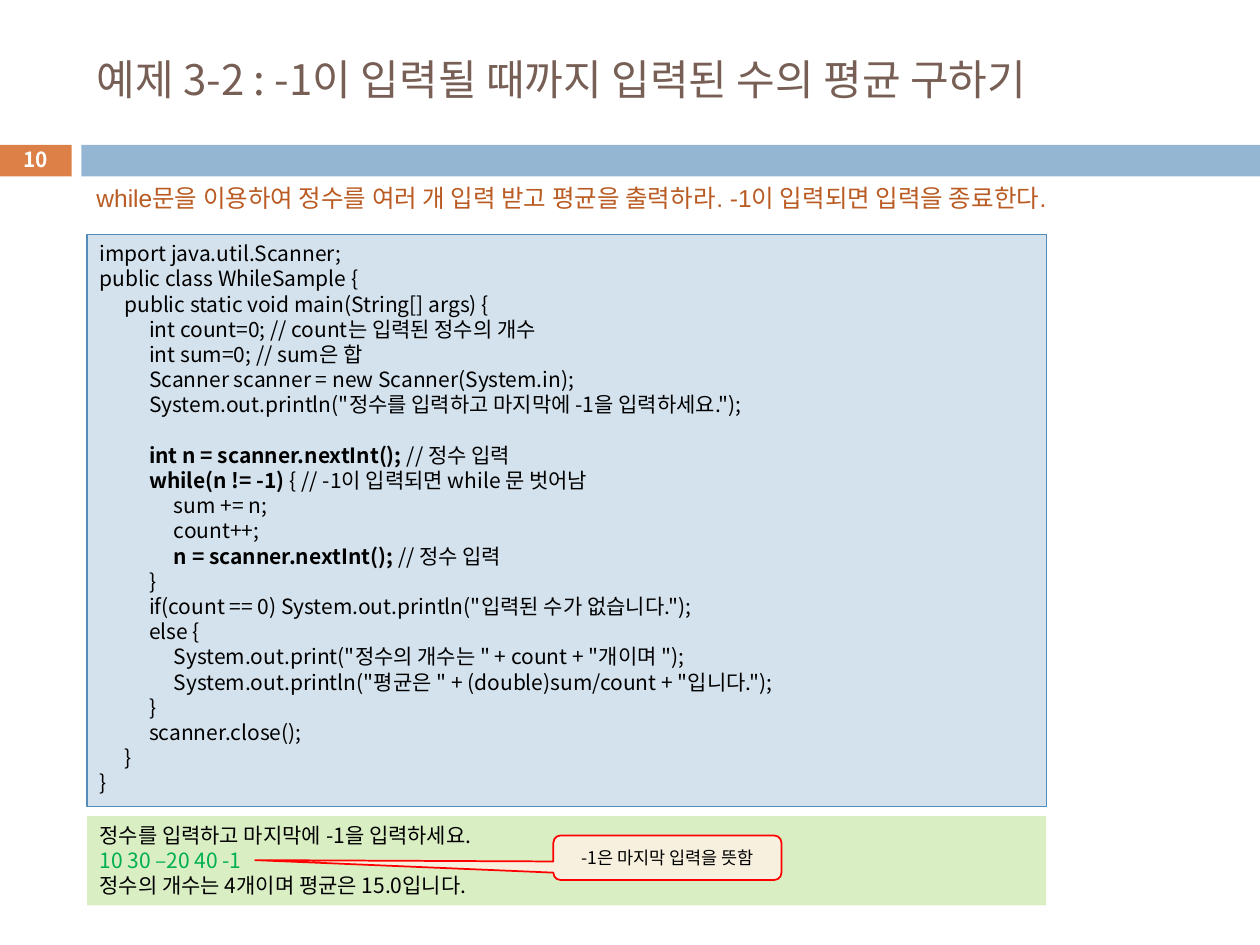
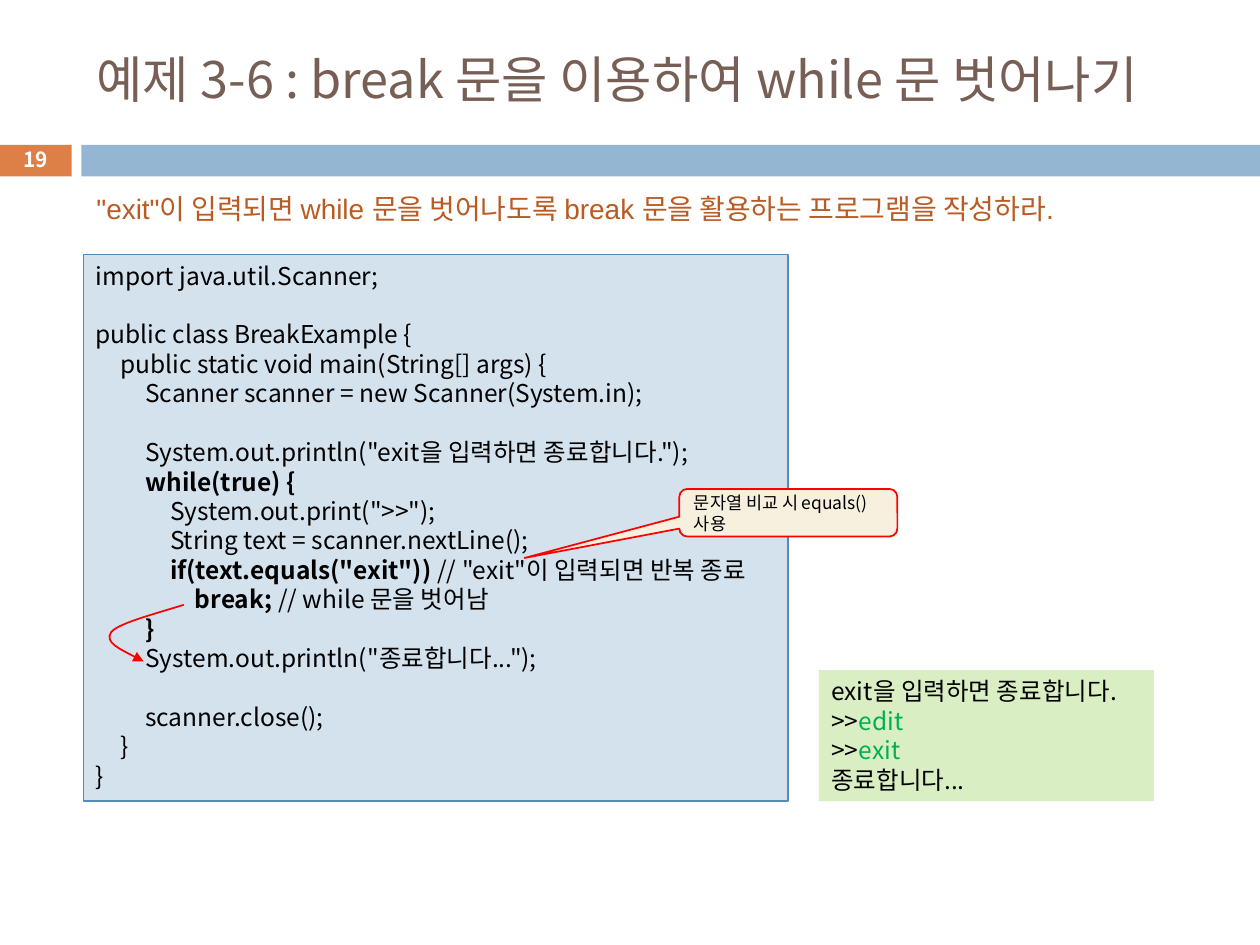
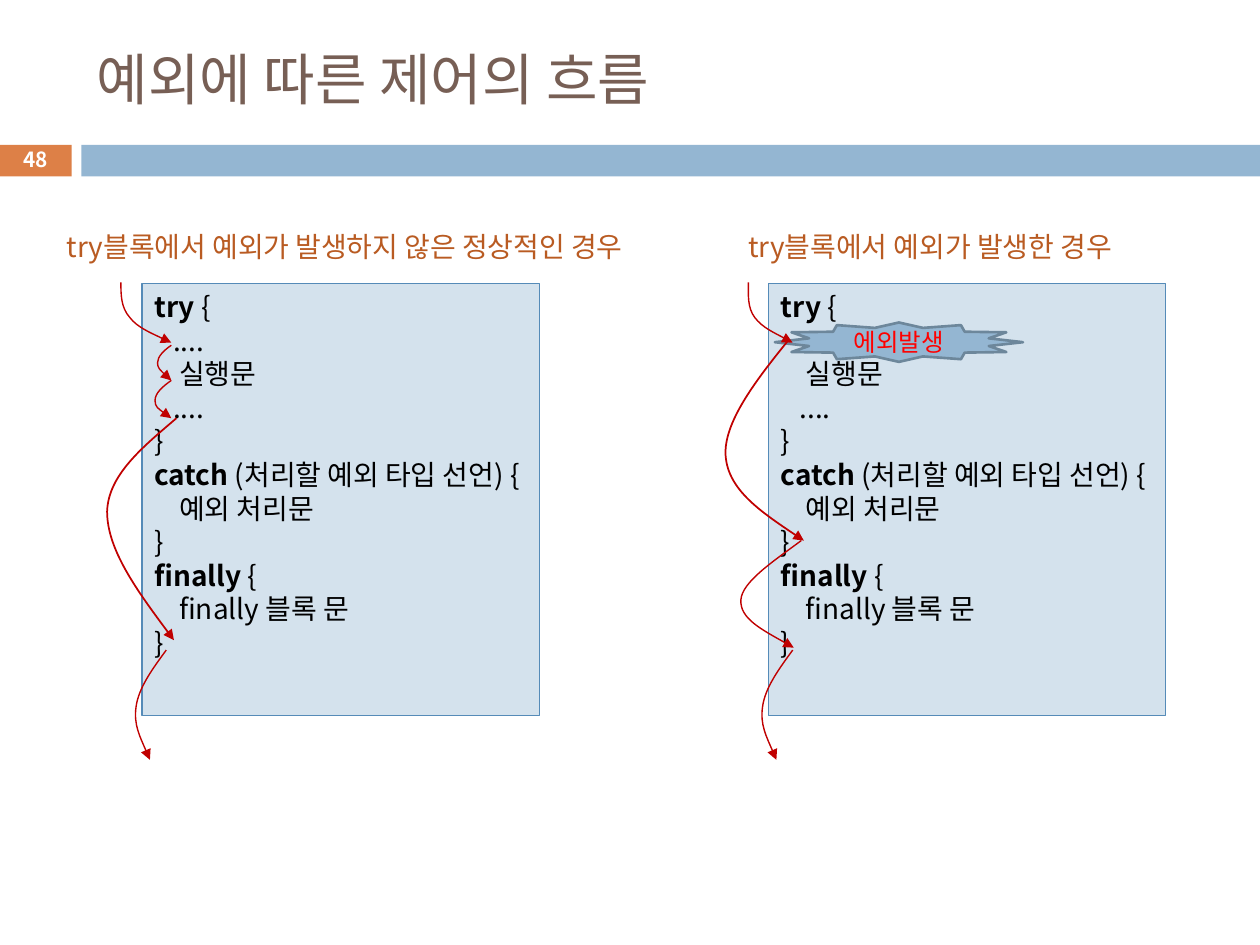
from lxml import etree
from pptx import Presentation
from pptx.dml.color import RGBColor
from pptx.enum.shapes import MSO_SHAPE
from pptx.enum.text import MSO_ANCHOR, MSO_AUTO_SIZE, PP_ALIGN
from pptx.oxml.ns import qn
from pptx.util import Pt

RECT = MSO_SHAPE.RECTANGLE
CALLOUT = MSO_SHAPE.ROUNDED_RECTANGULAR_CALLOUT
STAR = MSO_SHAPE.STAR_12_POINT
LEFT, CENTER = PP_ALIGN.LEFT, PP_ALIGN.CENTER
TOP, MIDDLE = MSO_ANCHOR.TOP, MSO_ANCHOR.MIDDLE
FIXED = MSO_AUTO_SIZE.NONE

SANS, ARIAL = "Noto Sans CJK KR", "Arial"
LEADING = 1.2
TAB = 14.17
SHIFT = 358
COLORS = {
    "title": "775F55", "task": "B95B22", "badge": "DD8047", "band": "94B6D2",
    "code": "D4E2ED", "edge": "558BB8", "output": "DAEEC4", "input": "00B050",
    "note": "F7F0DE", "red": "FF0000", "flow": "C00000", "star": "6D879B",
    "black": "000000", "white": "FFFFFF",
}

AVERAGE = {
    "title": "예제 3-2 : -1이 입력될 때까지 입력된 수의 평균 구하기",
    "size": 24, "page": "10",
    "task": "while문을 이용하여 정수를 여러 개 입력 받고 평균을 출력하라. -1이 입력되면 입력을 종료한다.",
    "code": """import java.util.Scanner;
public class WhileSample {
	public static void main(String[] args) {
		int count=0; // count는 입력된 정수의 개수
		int sum=0; // sum은 합
		Scanner scanner = new Scanner(System.in);
		System.out.println("정수를 입력하고 마지막에 -1을 입력하세요.");

		|int n = scanner.nextInt(); |// 정수 입력
		|while(n != -1) |{ // -1이 입력되면 while 문 벗어남
			sum += n;
			count++;
			|n = scanner.nextInt(); |// 정수 입력
		}
		if(count == 0) System.out.println("입력된 수가 없습니다.");
		else {
			System.out.print("정수의 개수는 " + count + "개이며 ");
			System.out.println("평균은 " + (double)sum/count + "입니다.");
		}
		scanner.close();
	}
}""",
    "output": """정수를 입력하고 마지막에 -1을 입력하세요.
|10 30 –20 40 -1|
정수의 개수는 4개이며 평균은 15.0입니다.""",
    "note": "-1은 마지막 입력을 뜻함",
}
BREAK = {
    "title": "예제 3-6 : break 문을 이용하여 while 문 벗어나기",
    "size": 28.8, "page": "19",
    "task": "\"exit\"이 입력되면 while 문을 벗어나도록 break 문을 활용하는 프로그램을 작성하라.",
    "code": """import java.util.Scanner;

public class BreakExample {
	public static void main(String[] args) {
		Scanner scanner = new Scanner(System.in);

		System.out.println("exit을 입력하면 종료합니다.");
		|while(true) {|
			System.out.print(">>");
			String text = scanner.nextLine();
			|if(text.equals("exit")) |// "exit"이 입력되면 반복 종료
				|break; |// while 문을 벗어남
		|}|
		System.out.println("종료합니다...");

		scanner.close();
	}
}""",
    "output": """exit을 입력하면 종료합니다.
>>|edit|
>>|exit|
종료합니다...""",
    "note": "문자열 비교 시 equals()사용",
    "jump": [(105, 345.6), (86.4, 351.4), (67, 356.4), (63.4, 361.4),
             (59.8, 367.2), (71.3, 372.2), (82.1, 378)],
}
FLOW = {
    "title": "예외에 따른 제어의 흐름", "size": 32, "page": "48",
    "code": """|try |{
   ....
	실행문
   ....
}
|catch |(처리할 예외 타입 선언) {
	예외 처리문
}
|finally |{
	finally 블록 문
}""",
    "cases": [("try블록에서 예외가 발생하지 않은 정상적인 경우", 31, 370),
              ("try블록에서 예외가 발생한 경우", 420.5, 245.5)],
    "burst": "에외발생",
    "leave": [(95, 371.5), (87.1, 382.3), (79.2, 393.1), (77.8, 403.9),
              (76.3, 414), (81.4, 424.1), (85.7, 434.2)],
    "thin": [
        [(69.1, 161.3), (69.1, 168.5), (69.1, 175.7), (74.2, 181.4),
         (78.5, 187.2), (93.6, 193.7), (97.9, 195.8)],
        [(97.9, 197.3), (93.6, 200.2), (90, 203.8), (90, 207.4),
         (90, 210.2), (93.6, 213.8), (97.9, 217.4)],
        [(97.9, 217.4), (92.9, 221), (88.6, 224.6), (88.6, 229),
         (88.6, 232.6), (92.9, 235.4), (97.9, 239)],
        [(427.7, 161.3), (427.7, 168.5), (427, 175.7), (431.3, 181.4),
         (435.6, 187.2), (449.3, 193.7), (452.9, 195.8)],
        [(457.9, 308.9), (441.4, 321.1), (424.1, 332.6), (423.4, 342.7),
         (422.6, 353.5), (438.5, 361.4), (453.6, 370.1)],
    ],
    "thick": [
        [(100.8, 239), (81.4, 255.6), (61.9, 271.4), (61.2, 292.3),
         (61.2, 313.9), (79.9, 339.8), (99.4, 365.8)],
        [(450, 195.1), (431.3, 218.2), (413.3, 241.9), (414.7, 260.6),
         (416.2, 280.1), (437.8, 294.5), (459.4, 308.9)],
    ],
}


def color(name):
    return RGBColor.from_string(COLORS[name])


def write(shape, text, size=12, ink="black", hot="black", bold=False,
          strong=False, font=SANS, align=LEFT, anchor=TOP, tabs=0):
    frame = shape.text_frame
    frame.auto_size = FIXED
    frame.word_wrap = True
    frame.vertical_anchor = anchor
    para, gap = frame.paragraphs[0], 0
    for row, line in enumerate(text.split("\n")):
        if not line:
            gap += size * LEADING
            continue
        if row:
            para = frame.add_paragraph()
        para.alignment = align
        para.line_spacing = Pt(size * LEADING)
        para.space_before = Pt(gap)
        gap = 0
        if tabs:
            stops = etree.SubElement(para._p.get_or_add_pPr(), qn("a:tabLst"))
            for step in range(1, tabs + 1):
                etree.SubElement(stops, qn("a:tab"), pos=str(Pt(TAB * step)), algn="l")
        for part, piece in enumerate(line.split("|")):
            if not piece:
                continue
            run = para.add_run()
            run.text = piece
            run.font.size = Pt(size)
            run.font.bold = strong if part % 2 else bold
            run.font.color.rgb = color(hot if part % 2 else ink)
            run.font.name = font
            east = etree.Element(qn("a:ea"), typeface=SANS)
            run._r.rPr.find(qn("a:latin")).addnext(east)


def box(slide, area, kind=RECT, fill=None, line=None, width=0.75):
    shape = slide.shapes.add_shape(kind, *map(Pt, area))
    shape.shadow.inherit = False
    if fill:
        shape.fill.solid()
        shape.fill.fore_color.rgb = color(fill)
    else:
        shape.fill.background()
    if line:
        shape.line.color.rgb = color(line)
        shape.line.width = Pt(width)
    else:
        shape.line.fill.background()
    return shape


def label(slide, area, text, **form):
    write(slide.shapes.add_textbox(*map(Pt, area)), text, **form)


def code(slide, area, text, size):
    write(box(slide, area, fill="code", line="edge"), text, size=size,
          strong=True, tabs=4)


def output(slide, area, text, size):
    write(box(slide, area, fill="output"), text, size=size, hot="input")


def note(slide, area, text, tip, align):
    shape = box(slide, area, CALLOUT, "note", "red", 1)
    for index, value in enumerate(tip):
        shape.adjustments[index] = value
    write(shape, text, size=10, align=align, anchor=MIDDLE)


def curve(slide, points, ink, width):
    spots = [(Pt(x), Pt(y)) for x, y in points]
    maker = slide.shapes.build_freeform(*spots[0])
    maker.add_line_segments(spots[1:], close=False)
    shape = maker.convert_to_shape()
    shape.shadow.inherit = False
    shape.fill.background()
    shape.line.color.rgb = color(ink)
    shape.line.width = Pt(width)
    trace = shape.element.find(".//" + qn("a:path"))
    lines = trace.findall(qn("a:lnTo"))
    for start in range(0, len(lines), 3):
        bend = etree.SubElement(trace, qn("a:cubicBezTo"))
        for item in lines[start:start + 3]:
            bend.append(item[0])
            trace.remove(item)
    stroke = shape.element.find(".//" + qn("a:ln"))
    etree.SubElement(stroke, qn("a:tailEnd"), type="triangle")


def start(deck, data):
    slide = deck.slides.add_slide(deck.slide_layouts[5])
    title = slide.shapes.title
    title.left, title.top, title.width, title.height = map(Pt, (48, 18, 669, 53.5))
    write(title, data["title"], size=data["size"], ink="title", anchor=MIDDLE)
    box(slide, (-0.5, 82.8, 41.5, 18), fill="badge")
    box(slide, (46.5, 82.8, 673.5, 18), fill="band")
    label(slide, (-0.5, 81.6, 41.5, 19.2), data["page"], size=11.9,
          ink="white", bold=True, align=CENTER, anchor=MIDDLE)
    return slide


def average(deck):
    slide = start(deck, AVERAGE)
    label(slide, (48, 101, 615.6, 24.5), AVERAGE["task"], size=14, ink="task", font=ARIAL)
    code(slide, (49.8, 134, 548.4, 326.8), AVERAGE["code"], 12)
    output(slide, (49.8, 466.4, 548, 51), AVERAGE["output"], 12)
    note(slide, (316.2, 477.4, 130.4, 25.5), AVERAGE["note"],
         (-1.807, 0.054, 0.167), CENTER)


def escape(deck):
    slide = start(deck, BREAK)
    label(slide, (48, 106, 615.6, 26.6), BREAK["task"], size=16, ink="task", font=ARIAL)
    code(slide, (47.6, 145.4, 402.8, 312.4), BREAK["code"], 14)
    output(slide, (468, 383, 191.4, 74.8), BREAK["output"], 14)
    curve(slide, BREAK["jump"], "red", 1)
    note(slide, (388.2, 279.4, 124.6, 27.2), BREAK["note"],
         (-1.21, 0.951, 0.167), LEFT)


def flow(deck):
    slide = start(deck, FLOW)
    for index, (text, left, width) in enumerate(FLOW["cases"]):
        shift = index * SHIFT
        code(slide, (81.2 + shift, 162, 227, 247), FLOW["code"], 16)
        label(slide, (left, 127.4, width, 26.6), text, size=16, ink="task")
        curve(slide, [(x + shift, y) for x, y in FLOW["leave"]], "flow", 0.79)
    star = box(slide, (442.8, 184.3, 141.8, 22.5), STAR, "band", "star", 1.5)
    write(star, FLOW["burst"], size=14, ink="red", align=CENTER, anchor=MIDDLE)
    for name, width in (("thin", 0.79), ("thick", 1)):
        for points in FLOW[name]:
            curve(slide, points, "flow", width)


def main():
    deck = Presentation()
    deck.slide_width, deck.slide_height = Pt(720), Pt(540)
    average(deck)
    escape(deck)
    flow(deck)
    deck.save("out.pptx")


if __name__ == "__main__":
    main()
